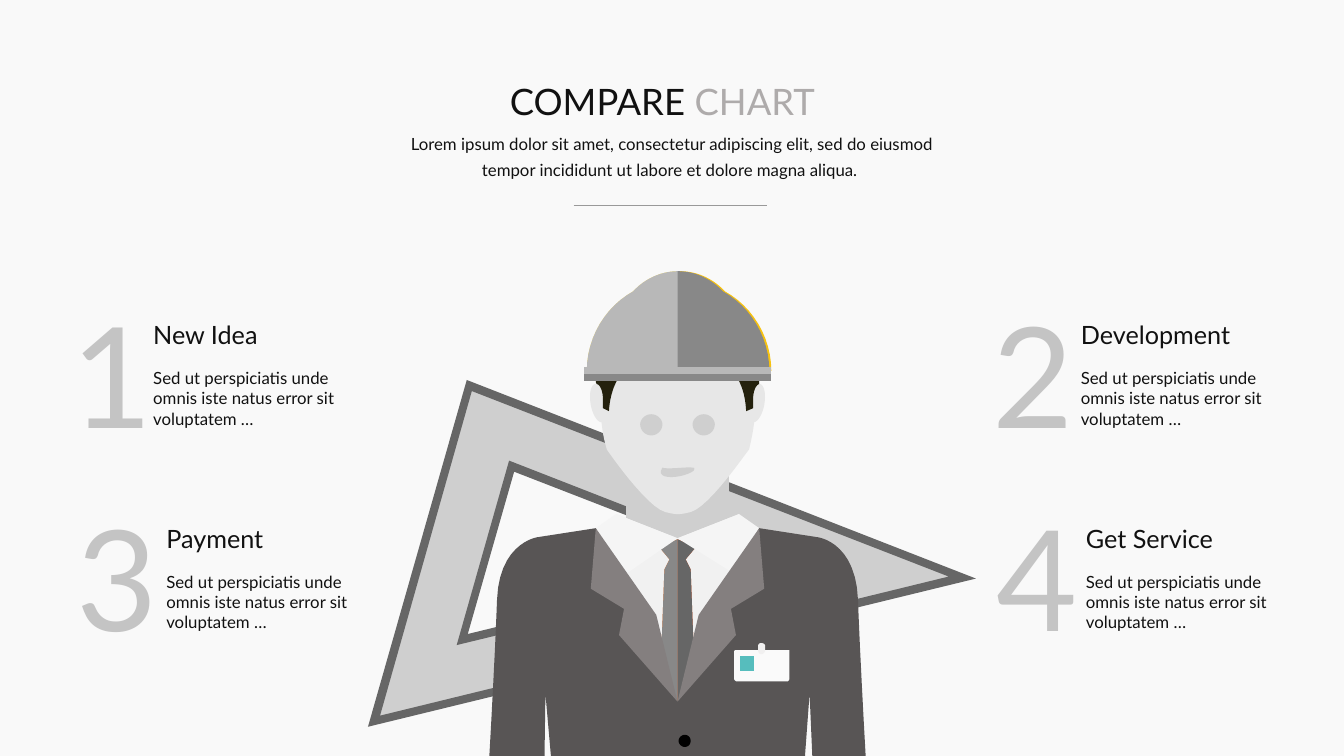
import pptx
import pptx.util
import pptx.dml.color
import pptx.enum.shapes
import pptx.enum.text
from lxml import etree
from pptx.util import Inches

RGB = pptx.dml.color.RGBColor
PAPER = RGB(0xF9, 0xF9, 0xF9)
INK = RGB(0x11, 0x11, 0x11)
PALE = RGB(0xAE, 0xAB, 0xAB)
NUMERAL = RGB(0xC4, 0xC4, 0xC4)
RULE = RGB(0x99, 0x99, 0x99)
LIGHT = RGB(0xCF, 0xCF, 0xCF)
DARK = RGB(0x66, 0x66, 0x66)
MID = RGB(0x88, 0x88, 0x88)
SILVER = RGB(0xB8, 0xB8, 0xB8)
SKIN = RGB(0xE7, 0xE7, 0xE7)
HAIR = RGB(0x24, 0x21, 0x0D)
SHIRT = RGB(0xF1, 0xF1, 0xF1)
COLLAR = RGB(0xF5, 0xF5, 0xF5)
JACKET = RGB(0x58, 0x55, 0x55)
LAPEL = RGB(0x84, 0x7F, 0x7F)
ORANGE = RGB(0xFC, 0x76, 0x26)
RUST = RGB(0xE5, 0x55, 0x1E)
YELLOW = RGB(0xFC, 0xE1, 0x69)
GOLD = RGB(0xF7, 0xC2, 0x10)
BADGE = RGB(0xFA, 0xFA, 0xFA)
PHOTO = RGB(0x56, 0xBD, 0xBD)
CLIP = RGB(0xF1, 0xF0, 0xF0)
BUTTON = RGB(0x01, 0x01, 0x01)

FONT = "Lato"
CURVE_STEPS = 12
MIRROR = 13.44  # sum of the x values of two mirrored points

# Outlines in inches: M starts a contour, L lists corners, C lists Bezier triples
SET_SQUARE = "M 5.07,4.63 L 7.6,5.61 4.58,6.35 M 4.65,3.83 L 3.71,7.15 9.54,5.73"
SET_SQUARE_EDGE = """M 5.1,4.68 L 4.64,6.29 7.47,5.6 M 4.53,6.4 L 5.05,4.57 7.74,5.62
    M 4.68,3.88 L 3.77,7.1 9.41,5.72 M 3.65,7.21 L 4.63,3.77 9.68,5.74"""
NECK = """M 6.72,4.72 L 6.21,4.72 6.21,5.4 C 6.21,5.48 6.44,5.54 6.72,5.54
    7,5.54 7.23,5.48 7.23,5.4 L 7.23,4.72"""
HEAD = """M 6.6,5.08 C 6.64,5.09 6.68,5.1 6.72,5.1 6.77,5.1 6.81,5.09 6.85,5.08
    7.04,5.03 7.42,4.46 7.43,4.46 7.46,4.33 7.49,4.19 7.49,4.04
    7.49,3.46 7.14,2.99 6.72,2.99 6.3,2.99 5.96,3.46 5.96,4.04
    5.96,4.19 5.98,4.33 6.02,4.46 6.02,4.46 6.41,5.03 6.6,5.08"""
EAR = """M 6.02,3.98 C 6.04,4.08 6.02,4.18 5.98,4.19 5.93,4.2 5.88,4.12 5.86,4.02
    5.84,3.91 5.86,3.82 5.9,3.81 5.95,3.8 6,3.87 6.02,3.98"""
HAIRCUT = """M 6.72,2.92 C 6.28,2.92 5.91,3.31 5.91,3.78 5.91,3.79 5.91,3.8 5.92,3.81
    5.92,3.81 5.97,3.82 5.98,3.94 5.98,4.02 5.98,4.04 5.98,4.05 L 6.04,4.08
    C 6.04,4.08 6.05,3.62 6.38,3.6 L 6.72,3.6 7.07,3.6 C 7.4,3.62 7.4,4.08 7.4,4.08
    L 7.47,4.05 C 7.47,4.04 7.47,4.02 7.47,3.94 7.48,3.82 7.53,3.81 7.53,3.81
    7.53,3.8 7.53,3.79 7.53,3.78 7.53,3.31 7.17,2.92 6.72,2.92"""
SHIRT_FRONT = "M 6.11,5.1 L 6.11,7.22 7.33,7.22 7.33,5.1 6.72,5.34"
TIE = "M 6.54,5.43 L 6.64,5.55 6.59,5.65 6.56,6.45 6.72,7.02 6.72,5.35"
LEFT_COLLAR = "M 6.72,5.34 L 6.11,5.1 5.91,5.24 6.17,5.72"
RIGHT_COLLAR = "M 6.72,5.34 L 7.33,5.1 7.53,5.24 7.28,5.69"
JACKET_BODY = """M 7.98,7.56 L 8.03,6.88 8.06,7.57 8.59,7.57
    C 8.59,7.57 8.53,6.52 8.51,5.95 8.49,5.43 8.18,5.34 8.11,5.33
    L 7.53,5.24 6.72,6.96 5.91,5.24 5.33,5.33
    C 5.27,5.34 4.95,5.43 4.93,5.95 4.91,6.52 4.85,7.57 4.85,7.57
    L 5.4,7.57 5.41,6.88 5.47,7.56"""
LAPEL_SIDE = "M 5.91,5.24 L 6.51,6.1 6.72,6.96 6.14,6.3 6.19,6.04 5.86,5.84"
BADGE_CARD = """M 7.29,6.45 C 7.28,6.46 7.28,6.47 7.28,6.47 L 7.28,6.73
    C 7.28,6.74 7.29,6.76 7.31,6.76 L 7.81,6.76 C 7.82,6.76 7.83,6.74 7.83,6.73
    L 7.83,6.45"""
BADGE_PHOTO = "M 7.48,6.66 L 7.34,6.66 7.34,6.51 7.48,6.51"
BADGE_CLIP = """M 7.55,6.38 C 7.53,6.38 7.52,6.39 7.52,6.41 L 7.52,6.45
    C 7.52,6.47 7.53,6.49 7.55,6.49 7.57,6.49 7.59,6.47 7.59,6.45
    L 7.59,6.41 C 7.59,6.39 7.57,6.38 7.55,6.38"""
JACKET_BUTTON = """M 6.85,7.35 C 6.85,7.38 6.83,7.41 6.79,7.41 6.76,7.41 6.73,7.38 6.73,7.35
    6.73,7.32 6.76,7.29 6.79,7.29 6.83,7.29 6.85,7.32 6.85,7.35"""
HELMET = """M 6.28,2.89 C 6.01,3.04 5.82,3.34 5.82,3.68 L 6.73,3.68 6.73,2.69
    C 6.55,2.69 6.39,2.77 6.28,2.89"""
BRIM_TOP = "M 7.65,3.71 L 5.79,3.71 5.79,3.64 7.65,3.64"
BRIM_BOTTOM = "M 7.65,3.71 L 5.79,3.71 5.79,3.78 7.65,3.78"
FACE = """M 6.87,4.64 C 6.89,4.64 6.89,4.65 6.88,4.67 6.8,4.74 6.48,4.78 6.57,4.64
    6.63,4.66 6.81,4.63 6.87,4.64
    M 6.98,4.11 C 7.04,4.11 7.09,4.16 7.09,4.21 7.09,4.27 7.04,4.32 6.98,4.32
    6.92,4.32 6.87,4.27 6.87,4.21 6.87,4.16 6.92,4.11 6.98,4.11
    M 6.46,4.11 C 6.52,4.11 6.57,4.16 6.57,4.21 6.57,4.27 6.52,4.32 6.46,4.32
    6.4,4.32 6.35,4.27 6.35,4.21 6.35,4.16 6.4,4.11 6.46,4.11"""

# Back to front: outline, colour, mirror sum or None
FIGURE = [
    (SET_SQUARE, LIGHT, None), (SET_SQUARE_EDGE, DARK, None),
    (NECK, LIGHT, None), (HEAD, SKIN, None), (EAR, SKIN, None), (EAR, SKIN, MIRROR),
    (HAIRCUT, HAIR, None), (SHIRT_FRONT, SHIRT, None),
    (TIE, ORANGE, None), (TIE, RUST, MIRROR), (TIE, MID, None), (TIE, DARK, MIRROR),
    (LEFT_COLLAR, COLLAR, None), (RIGHT_COLLAR, COLLAR, None),
    (JACKET_BODY, JACKET, None), (LAPEL_SIDE, LAPEL, None), (LAPEL_SIDE, LAPEL, MIRROR),
    (BADGE_CARD, BADGE, None), (BADGE_PHOTO, PHOTO, None), (BADGE_CLIP, CLIP, None),
    (JACKET_BUTTON, BUTTON, None),
    (HELMET, YELLOW, None), (HELMET, GOLD, 13.47),
    (HELMET, SILVER, None), (HELMET, MID, 13.45),
    (BRIM_TOP, YELLOW, None), (BRIM_BOTTOM, GOLD, None),
    (BRIM_TOP, SILVER, None), (BRIM_BOTTOM, MID, None), (FACE, LIGHT, None),
]

STEP_TEXT = "Sed ut perspiciatis unde omnis iste natus error sit voluptatem …"
# Numeral, numeral left, heading, heading left, heading width, row top
STEPS = [
    ("1", 0.71, "New Idea", 1.52, 1.06, 2.86),
    ("2", 9.84, "Development", 10.72, 1.51, 2.86),
    ("3", 0.76, "Payment", 1.65, 0.99, 4.88),
    ("4", 9.88, "Get Service", 10.77, 1.28, 4.88),
]


def contours(outline):
    """Turn an outline into lists of points, with curves sampled."""
    result, mode, handles = [], "", []
    for token in outline.split():
        if token in "MLC":
            mode = token
            continue
        point = tuple(float(n) for n in token.split(","))
        if mode == "M":
            result.append([point])
        elif mode == "L":
            result[-1].append(point)
        else:
            handles.append(point)
            if len(handles) == 3:
                curve = [result[-1][-1]] + handles
                for i in range(1, CURVE_STEPS + 1):
                    t = i / CURVE_STEPS
                    weights = ((1 - t) ** 3, 3 * t * (1 - t) ** 2, 3 * t * t * (1 - t), t ** 3)
                    result[-1].append(tuple(sum(w * q[axis] for w, q in zip(weights, curve))
                                            for axis in (0, 1)))
                handles = []
    return result


def add_outline(shapes, outline, color, mirror=None):
    builder = None
    for contour in contours(outline):
        points = [(Inches(x if mirror is None else mirror - x), Inches(y)) for x, y in contour]
        if builder is None:
            builder = shapes.build_freeform(*points[0], scale=1.0)
        else:
            builder.move_to(*points[0])
        builder.add_line_segments(points[1:], close=True)
    sp = builder.convert_to_shape()
    sp.shadow.inherit = False
    sp.fill.solid()
    sp.fill.fore_color.rgb = color
    sp.line.fill.background()


def set_text(sp, *runs, size=12, align=pptx.enum.text.PP_ALIGN.LEFT, wrap=False, spacing=None):
    """Fill a shape with one paragraph of (text, colour) runs."""
    tf = sp.text_frame
    tf.margin_left = tf.margin_right = tf.margin_top = tf.margin_bottom = 0
    tf.word_wrap = wrap
    tf.auto_size = pptx.enum.text.MSO_AUTO_SIZE.SHAPE_TO_FIT_TEXT
    tf.vertical_anchor = pptx.enum.text.MSO_ANCHOR.TOP
    p = tf.paragraphs[0]
    p.alignment = align
    if spacing:
        p.line_spacing = spacing
    for text, color in runs:
        r = p.add_run()
        r.text = text
        r.font.name, r.font.size = FONT, pptx.util.Pt(size)
        r.font.color.rgb = color


def add_text(s, box, text, color=INK, **fmt):
    set_text(s.shapes.add_textbox(*map(Inches, box)), (text, color), **fmt)


def add_step(s, numeral, numeral_left, heading, left, width, top):
    add_text(s, (numeral_left, top, 0.81, 1.68), numeral, NUMERAL, size=100)
    add_text(s, (left, top + 0.31, width, 0.3), heading, size=18)
    add_text(s, (left, top + 0.79, 1.8, 0.61), STEP_TEXT, wrap=True)


def add_header(s):
    center = pptx.enum.text.PP_ALIGN.CENTER
    title = s.shapes.title
    title.left, title.top, title.width, title.height = map(Inches, (5.01, 0.78, 3.12, 0.44))
    set_text(title, ("COMPARE ", INK), ("CHART", PALE), size=26, align=center)
    add_text(s, (3.87, 1.28, 5.59, 0.5),
             "Lorem ipsum dolor sit amet, consectetur adipiscing elit, sed do eiusmod "
             "tempor incididunt ut labore et dolore magna aliqua. ",
             align=center, wrap=True, spacing=1.25)
    rule = s.shapes.add_connector(pptx.enum.shapes.MSO_CONNECTOR.STRAIGHT,
                                  *map(Inches, (5.69, 2.04, 7.61, 2.04)))
    rule.line.color.rgb = RULE
    rule.line.width = pptx.util.Pt(0.5)
    etree.SubElement(rule._element.spPr, pptx.oxml.ns.qn("a:effectLst"))


def main():
    prs = pptx.Presentation()
    prs.slide_width, prs.slide_height = Inches(13.33), Inches(7.5)
    s = prs.slides.add_slide(prs.slide_layouts[5])
    s.background.fill.solid()
    s.background.fill.fore_color.rgb = PAPER
    figure = s.shapes.add_group_shape()
    for outline, color, mirror in FIGURE:
        add_outline(figure.shapes, outline, color, mirror)
    for step in STEPS:
        add_step(s, *step)
    add_header(s)
    prs.save("out.pptx")


if __name__ == "__main__":
    main()
